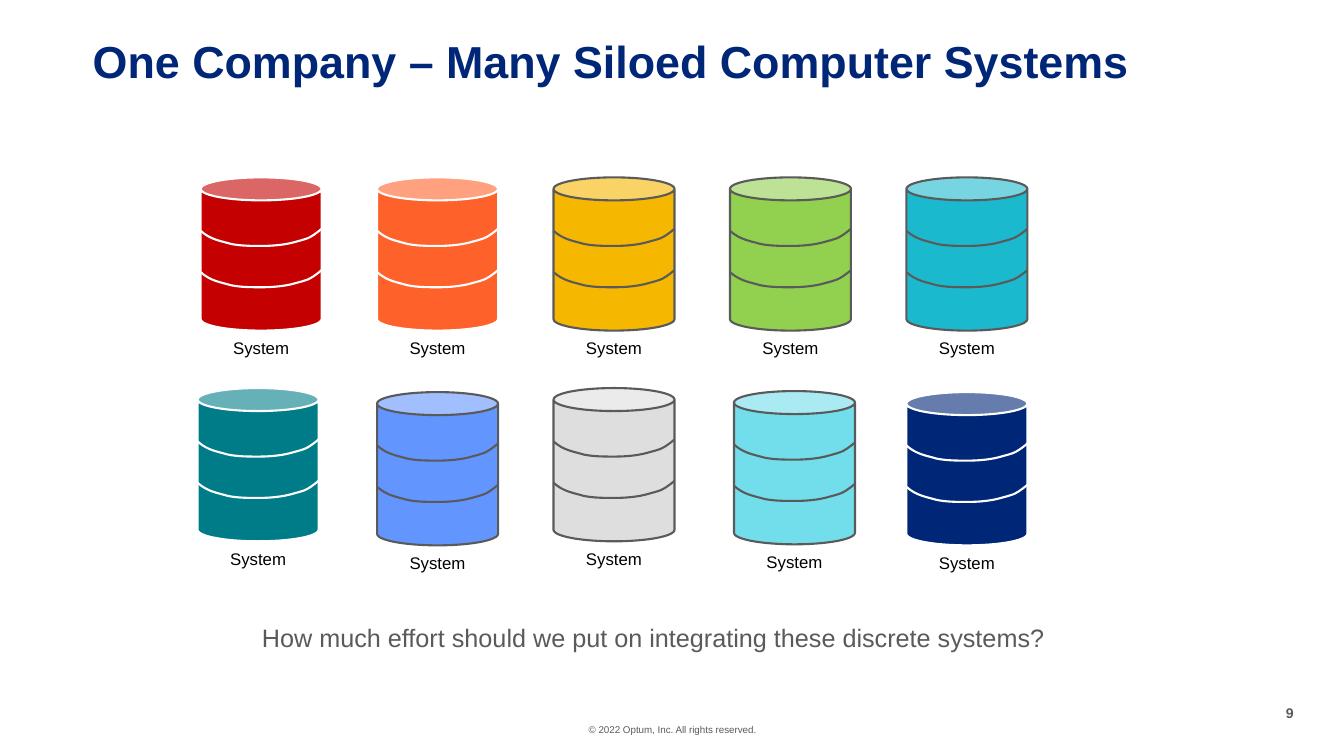
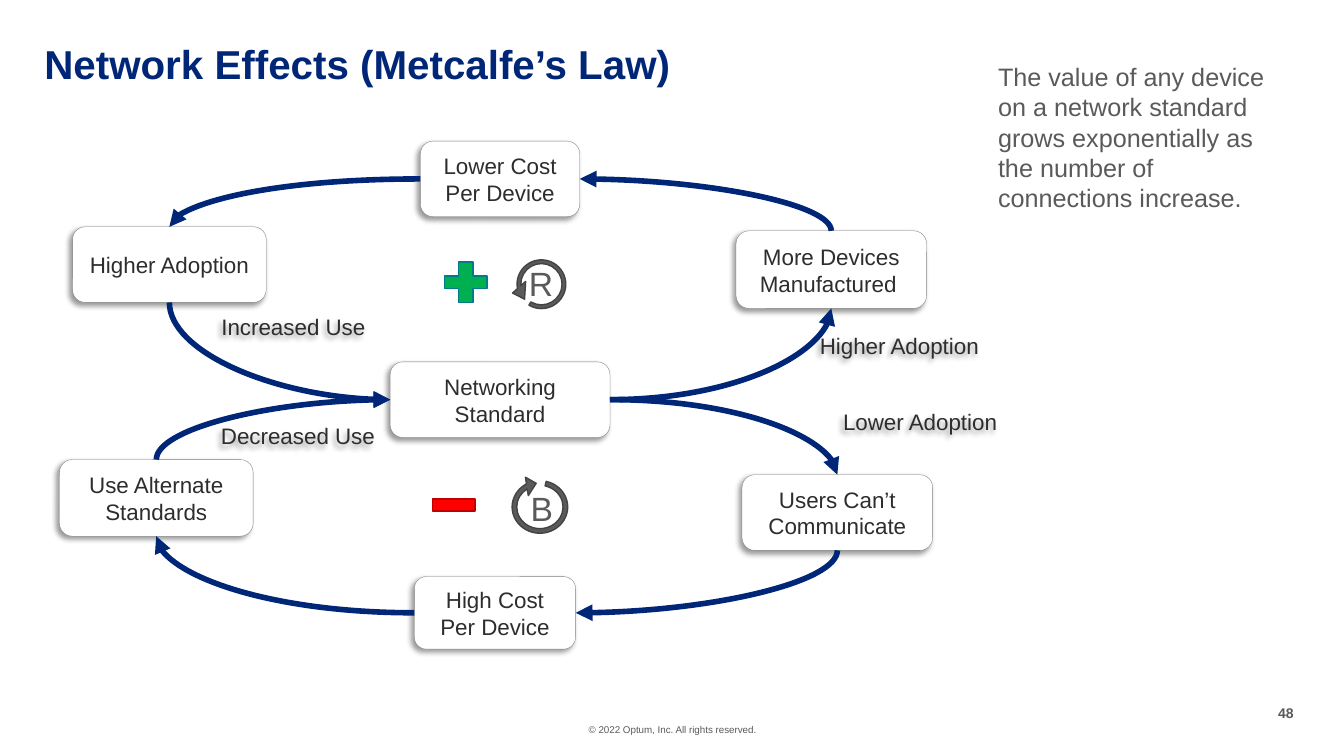
"""Build two slides: siloed computer systems and the network effects loop."""
from dataclasses import dataclass
from typing import NamedTuple

from lxml import etree
from pptx import Presentation
from pptx.dml.color import RGBColor
from pptx.enum.shapes import MSO_CONNECTOR as Connector, MSO_SHAPE as Preset
from pptx.enum.text import MSO_ANCHOR as Anchor, MSO_AUTO_SIZE as AutoSize, PP_ALIGN as Align
from pptx.oxml.ns import qn
from pptx.util import Inches, Pt


@dataclass(frozen=True)
class Theme:
    font: str = "Arial"
    navy: str = "002677"
    gray: str = "5A5A5A"
    ink: str = "2D2D2D"
    black: str = "000000"
    white: str = "FFFFFF"
    box_edge: str = "808080"
    arrow_edge: str = "434343"
    green: str = "00B050"
    teal: str = "007C89"
    red: str = "FF0000"
    dark_red: str = "C00000"
    footer_size: float = 7
    number_size: float = 10
    caption_size: float = 12
    box_size: float = 16
    body_size: float = 18
    letter_size: float = 24


THEME = Theme()


class Area(NamedTuple):
    left: float
    top: float
    width: float
    height: float

    def lengths(self) -> list:
        return [Inches(value) for value in self]


class Can(NamedTuple):
    left: float
    top: float
    fill: str
    line: str


class Box(NamedTuple):
    key: str
    text: str
    area: Area


class Label(NamedTuple):
    text: str
    area: Area


class Link(NamedTuple):
    start: str
    start_site: int
    end: str
    end_site: int


class Loop(NamedTuple):
    letter: str
    letter_area: Area
    arrow_area: Area
    adjustments: tuple
    mirrored: bool


TOP, LEFT, BOTTOM, RIGHT = range(4)

FIRST_ROW = [("C40000", THEME.white), ("FF612B", THEME.white), ("F5B700", THEME.gray),
             ("92D050", THEME.gray), ("1BB9CE", THEME.gray)]
CANS = [Can(1.99 + 1.75 * column, 1.76, fill, line)
        for column, (fill, line) in enumerate(FIRST_ROW)] + [
    Can(1.96, 3.85, THEME.teal, THEME.white),
    Can(3.74, 3.89, "6395FF", THEME.gray),
    Can(5.49, 3.85, "DEDEDE", THEME.gray),
    Can(7.28, 3.88, "72DEEC", THEME.gray),
    Can(8.99, 3.89, THEME.navy, THEME.white),
]
CAN_WIDTH, CAN_HEIGHT = 1.2, 1.52
BAND_OFFSETS = (0.51, 0.92)
BAND_CURVE = [(0, 0.02), (0.1, 0.11), (0.2, 0.12), (0.3, 0.15), (0.4, 0.17), (0.5, 0.17),
              (0.61, 0.17), (0.71, 0.17), (0.84, 0.16), (0.94, 0.13), (1.04, 0.1),
              (1.07, 0.11), (1.2, 0)]

BOXES = [
    Box("high cost", "High Cost Per Device", Area(4.11, 5.72, 1.6, 0.72)),
    Box("more devices", "More Devices\nManufactured ", Area(7.3, 2.29, 1.89, 0.77)),
    Box("lower cost", "Lower Cost\vPer Device", Area(4.17, 1.4, 1.58, 0.75)),
    Box("cut off", "Users Can’t Communicate", Area(7.36, 4.71, 1.89, 0.75)),
    Box("adoption", "Higher Adoption", Area(0.72, 2.25, 1.92, 0.75)),
    Box("alternate", "Use Alternate Standards", Area(0.59, 4.56, 1.92, 0.76)),
    Box("standard", "Networking\nStandard", Area(3.87, 3.59, 2.18, 0.75)),
]
LABELS = [
    Label("Increased Use", Area(2.09, 3.05, 1.64, 0.37)),
    Label("Lower Adoption", Area(8.25, 4, 1.75, 0.37)),
    Label("Higher Adoption", Area(8.02, 3.24, 1.8, 0.37)),
    Label("Decreased Use", Area(2.08, 4.14, 1.75, 0.37)),
]
LINKS = [
    Link("cut off", BOTTOM, "high cost", RIGHT),
    Link("high cost", LEFT, "alternate", BOTTOM),
    Link("alternate", TOP, "standard", LEFT),
    Link("standard", RIGHT, "cut off", TOP),
    Link("standard", RIGHT, "more devices", BOTTOM),
    Link("more devices", TOP, "lower cost", RIGHT),
    Link("lower cost", LEFT, "adoption", TOP),
    Link("adoption", BOTTOM, "standard", LEFT),
]
LOOPS = [
    Loop("R", Area(5.14, 2.56, 0.45, 0.5), Area(5.06, 2.51, 0.62, 0.62),
         (0.06, 20.4, 4.57, 35.49, 0.14), True),
    Loop("B", Area(5.16, 4.79, 0.43, 0.5), Area(5.01, 4.7, 0.69, 0.66),
         (0.07, 14.05, 142.56, 170.3, 0.14), False),
]


def color(code: str) -> RGBColor:
    return RGBColor.from_string(code)


def write(frame, text: str, size: float, ink: str, align=Align.CENTER,
          bold: bool = False) -> None:
    frame.text = text
    for para in frame.paragraphs:
        para.alignment = align
        for span in para.runs:
            span.font.name = THEME.font
            span.font.size = Pt(size)
            span.font.bold = bold
            span.font.color.rgb = color(ink)


def add_text(page, area: Area, text: str, size: float, ink: str, align=Align.CENTER,
             bold: bool = False, inset: bool = True, wrap: bool = True, grow: bool = True):
    box = page.shapes.add_textbox(*area.lengths())
    frame = box.text_frame
    if not inset:
        frame.margin_left = frame.margin_right = frame.margin_top = frame.margin_bottom = 0
    frame.word_wrap = wrap
    frame.auto_size = AutoSize.SHAPE_TO_FIT_TEXT if grow else AutoSize.NONE
    write(frame, text, size, ink, align, bold)
    return box


def add_preset(page, preset, area: Area, fill: str, line: str, weight: float,
               adjustments: tuple = ()):
    shape = page.shapes.add_shape(preset, *area.lengths())
    shape.shadow.inherit = False
    shape.fill.solid()
    shape.fill.fore_color.rgb = color(fill)
    shape.line.color.rgb = color(line)
    shape.line.width = Pt(weight)
    for index, value in enumerate(adjustments):
        shape.adjustments[index] = value
    return shape


def cast_shadow(shape) -> None:
    shape.shadow.inherit = False
    effects = shape.element.spPr.find(qn("a:effectLst"))
    outer = etree.SubElement(effects, qn("a:outerShdw"), blurRad=str(Pt(4)), dist=str(Pt(3)),
                             dir=str(135 * 60000), algn="tr", rotWithShape="0")
    tint = etree.SubElement(outer, qn("a:srgbClr"), val=THEME.black)
    etree.SubElement(tint, qn("a:alpha"), val="40000")


def curve_segments(shape) -> None:
    segments = list(shape.element.spPr.iter(qn("a:lnTo")))
    outline = segments[0].getparent()
    for first in range(0, len(segments), 3):
        curve = etree.SubElement(outline, qn("a:cubicBezTo"))
        for segment in segments[first:first + 3]:
            curve.append(segment[0])
            outline.remove(segment)


def add_can(page, can: Can) -> None:
    add_preset(page, Preset.CAN, Area(can.left, can.top, CAN_WIDTH, CAN_HEIGHT),
               can.fill, can.line, 1.5, (0.19,))
    for offset in BAND_OFFSETS:
        points = [(Inches(can.left + x), Inches(can.top + offset + y)) for x, y in BAND_CURVE]
        builder = page.shapes.build_freeform(*points[0])
        builder.add_line_segments(points[1:], close=False)
        band = builder.convert_to_shape()
        curve_segments(band)
        band.shadow.inherit = False
        band.fill.background()
        band.line.color.rgb = color(can.line)
        band.line.width = Pt(1.5)
    add_text(page, Area(can.left + 0.22, can.top + 1.54, 0.76, 0.3), "System",
             THEME.caption_size, THEME.black, wrap=False)


def add_link(page, link: Link, boxes: dict) -> None:
    arrow = page.shapes.add_connector(Connector.CURVE, 0, 0, 0, 0)
    arrow.begin_connect(boxes[link.start], link.start_site)
    arrow.end_connect(boxes[link.end], link.end_site)
    properties = arrow.element.spPr
    properties.find(qn("a:prstGeom")).set("prst", "curvedConnector2")
    if link.start_site in (TOP, BOTTOM):
        across, down = arrow.end_x - arrow.begin_x, arrow.end_y - arrow.begin_y
        center_x, center_y = arrow.begin_x + across // 2, arrow.begin_y + down // 2
        arrow.begin_x, arrow.begin_y = center_x - down // 2, center_y + across // 2
        arrow.end_x, arrow.end_y = center_x + down // 2, center_y - across // 2
        properties.find(qn("a:xfrm")).set("rot", str(90 * 60000))
    arrow.line.color.rgb = color(THEME.navy)
    arrow.line.width = Pt(4)
    etree.SubElement(properties.find(qn("a:ln")), qn("a:tailEnd"), type="triangle")
    etree.SubElement(properties, qn("a:effectLst"))


def add_loop(page, loop: Loop) -> None:
    arrow = add_preset(page, Preset.CIRCULAR_ARROW, loop.arrow_area, THEME.gray,
                       THEME.arrow_edge, 1, loop.adjustments)
    if loop.mirrored:
        arrow.element.spPr.find(qn("a:xfrm")).set("flipH", "1")
    add_text(page, loop.letter_area, loop.letter, THEME.letter_size, THEME.gray, wrap=False)


def add_page(deck, title: str, area: Area, title_size: float, number: str):
    page = deck.slides.add_slide(deck.slide_layouts[6])
    add_text(page, Area(5.14, 7.18, 3.06, 0.12), "© 2022 Optum, Inc. All rights reserved.",
             THEME.footer_size, THEME.gray, inset=False)
    add_text(page, Area(12.66, 6.99, 0.17, 0.17), number, THEME.number_size, THEME.gray,
             Align.RIGHT, bold=True, inset=False, wrap=False)
    heading = add_text(page, area, title, title_size, THEME.navy, Align.LEFT, bold=True,
                       inset=False, grow=False)
    heading.text_frame.paragraphs[0].line_spacing = 0.9
    return page


def build_systems(deck) -> None:
    page = add_page(deck, "One Company – Many Siloed Computer Systems",
                    Area(0.92, 0.39, 11.5, 0.33), 32, "9")
    for can in CANS:
        add_can(page, can)
    add_text(page, Area(2.56, 6.17, 7.84, 0.3),
             "How much effort should we put on integrating these discrete systems?",
             THEME.body_size, THEME.gray, inset=False, wrap=False)


def build_network(deck) -> None:
    page = add_page(deck, "Network Effects (Metcalfe’s Law)",
                    Area(0.44, 0.44, 6.92, 0.46), 28.8, "48")
    boxes = {}
    for box in BOXES:
        shape = add_preset(page, Preset.ROUNDED_RECTANGLE, box.area, THEME.white,
                           THEME.box_edge, 0.25)
        cast_shadow(shape)
        shape.text_frame.word_wrap = True
        shape.text_frame.vertical_anchor = Anchor.MIDDLE
        write(shape.text_frame, box.text, THEME.box_size, THEME.ink)
        boxes[box.key] = shape
    for label in LABELS:
        caption = add_text(page, label.area, label.text, THEME.box_size, THEME.ink, grow=False)
        caption.text_frame.vertical_anchor = Anchor.MIDDLE
        cast_shadow(caption)
    add_text(page, Area(9.8, 0.56, 3.09, 1.92),
             "The value of any device on a network standard grows exponentially "
             "as the number of connections increase.",
             THEME.body_size, THEME.gray, Align.LEFT)
    add_preset(page, Preset.CROSS, Area(4.41, 2.6, 0.42, 0.4), THEME.green, THEME.teal, 1, (0.35,))
    add_preset(page, Preset.RECTANGLE, Area(4.29, 4.95, 0.42, 0.12), THEME.red, THEME.dark_red, 1)
    for link in LINKS:
        add_link(page, link, boxes)
    for loop in LOOPS:
        add_loop(page, loop)


def main() -> None:
    deck = Presentation()
    deck.slide_width, deck.slide_height = Inches(13.33), Inches(7.5)
    build_systems(deck)
    build_network(deck)
    deck.save("out.pptx")


if __name__ == "__main__":
    main()
